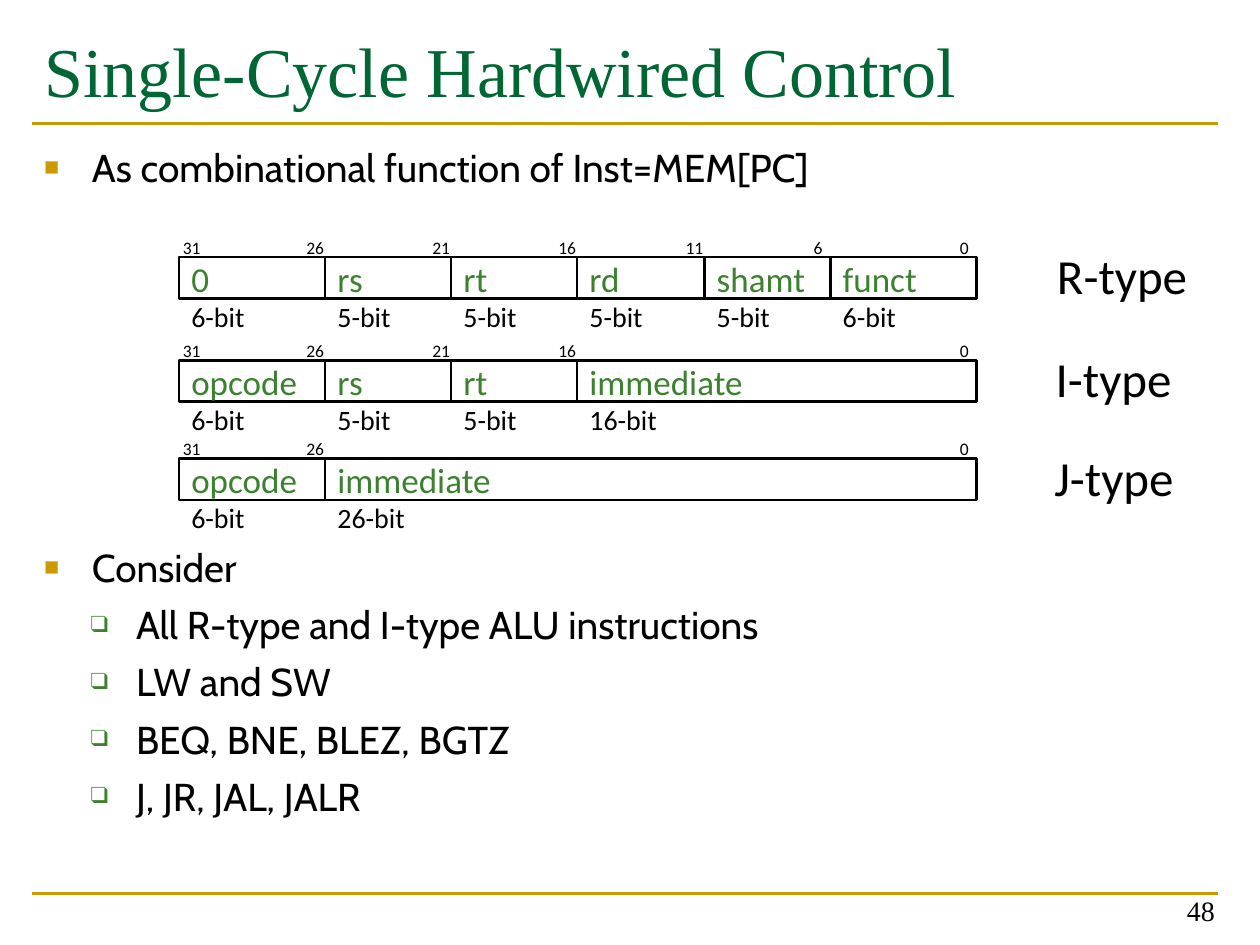
from dataclasses import dataclass

from lxml import etree
from pptx import Presentation
from pptx.dml.color import RGBColor
from pptx.enum.shapes import MSO_CONNECTOR, MSO_SHAPE
from pptx.enum.text import MSO_ANCHOR, MSO_AUTO_SIZE, PP_ALIGN
from pptx.oxml.ns import qn
from pptx.util import Inches, Pt

LEFT, RIGHT = PP_ALIGN.LEFT, PP_ALIGN.RIGHT
TOP, BOTTOM = MSO_ANCHOR.TOP, MSO_ANCHOR.BOTTOM
NO_FIT, GROW = MSO_AUTO_SIZE.NONE, MSO_AUTO_SIZE.SHAPE_TO_FIT_TEXT
RECTANGLE, STRAIGHT = MSO_SHAPE.RECTANGLE, MSO_CONNECTOR.STRAIGHT

BLACK = RGBColor(0x00, 0x00, 0x00)
WHITE = RGBColor(0xFF, 0xFF, 0xFF)
GOLD = RGBColor(0xCC, 0x99, 0x00)
TITLE_GREEN = RGBColor(0x00, 0x66, 0x33)
GREEN = RGBColor(0x3B, 0x81, 0x2F)
SERIF, SANS, BODY = "Times New Roman", "Calibri", "Cabin"

WORD_BITS = 32
FIELD_HEIGHT = 0.33
BIT_EDGES = {32: 1.42, 26: 2.58, 21: 3.58, 16: 4.58, 11: 5.59, 6: 6.59, 0: 7.75}


@dataclass
class Field:
    name: str
    bits: int


@dataclass
class Format:
    name: str
    top: float
    name_left: float
    name_width: float
    fields: list[Field]


@dataclass
class Bullet:
    text: str
    level: int = 0
    space_before: float = 6


@dataclass
class BulletStyle:
    symbol: str
    color: RGBColor
    percent: int
    margin: float
    hanging: float


FORMATS = [
    Format("R-type", 2.04, 8.29, 1.25, [
        Field("0", 6), Field("rs", 5), Field("rt", 5),
        Field("rd", 5), Field("shamt", 5), Field("funct", 6)]),
    Format("I-type", 2.86, 8.28, 1.14, [
        Field("opcode", 6), Field("rs", 5), Field("rt", 5), Field("immediate", 16)]),
    Format("J-type", 3.64, 8.27, 1.16, [Field("opcode", 6), Field("immediate", 26)]),
]

BULLETS = [
    Bullet("As combinational function of Inst=MEM[PC]", space_before=0),
    Bullet("Consider", space_before=202),
    Bullet("All R-type and I-type ALU instructions", 1),
    Bullet("LW and SW", 1),
    Bullet("BEQ, BNE, BLEZ, BGTZ", 1),
    Bullet("J, JR, JAL, JALR", 1),
]

BULLET_STYLES = [
    BulletStyle("■", GOLD, 65, 0.38, 0.38),
    BulletStyle("❑", GREEN, 60, 0.73, 0.36),
]


def place(shape, left: float, top: float, width: float, height: float) -> None:
    shape.left, shape.top = Inches(left), Inches(top)
    shape.width, shape.height = Inches(width), Inches(height)


def style(paragraph, size: float, name: str, color: RGBColor) -> None:
    for run in paragraph.runs:
        run.font.size = Pt(size)
        run.font.name = name
        run.font.color.rgb = color


def add_label(slide, text: str, left: float, top: float, width: float, height: float,
              size: float, name: str = SANS, alignment=LEFT):
    frame = slide.shapes.add_textbox(
        Inches(left), Inches(top), Inches(width), Inches(height)).text_frame
    frame.text = text
    frame.word_wrap = False
    frame.auto_size = GROW
    frame.paragraphs[0].alignment = alignment
    style(frame.paragraphs[0], size, name, BLACK)
    return frame


def add_rule(slide, y: float) -> None:
    rule = slide.shapes.add_connector(
        STRAIGHT, Inches(0.25), Inches(y), Inches(9.67), Inches(y))
    rule.line.color.rgb = GOLD
    rule.line.width = Pt(1.5)
    etree.SubElement(rule._element.spPr, qn("a:effectLst"))


def add_field(slide, field: Field, left: float, right: float, top: float) -> None:
    box = slide.shapes.add_shape(
        RECTANGLE, Inches(left), Inches(top), Inches(right - left), Inches(FIELD_HEIGHT))
    box.shadow.inherit = False
    box.fill.solid()
    box.fill.fore_color.rgb = WHITE
    box.line.color.rgb = BLACK
    box.line.width = Pt(1.5)
    frame = box.text_frame
    frame.text = f"{field.name}\n{field.bits}-bit"
    frame.word_wrap = False
    frame.vertical_anchor = TOP
    frame.margin_top = 0
    for paragraph, size, color in zip(frame.paragraphs, (20, 16), (GREEN, BLACK)):
        paragraph.alignment = LEFT
        style(paragraph, size, SANS, color)


def add_bit_number(slide, number: int, left: float, top: float) -> None:
    width = 0.34 if number > 9 else 0.27
    add_label(slide, str(number), left, top - 0.21, width, 0.27, 10,
              alignment=RIGHT if number > 9 else LEFT)


def add_format(slide, layout: Format) -> None:
    add_label(slide, layout.name, layout.name_left, layout.top - 0.14,
              layout.name_width, 0.57, 28)
    high = WORD_BITS
    for field in layout.fields:
        low = high - field.bits
        add_field(slide, field, BIT_EDGES[high], BIT_EDGES[low], layout.top)
        high = low
    add_bit_number(slide, WORD_BITS - 1, BIT_EDGES[WORD_BITS] - 0.07, layout.top)
    low = WORD_BITS
    for field in layout.fields:
        low -= field.bits
        add_bit_number(slide, low, BIT_EDGES[low] - (0.25 if low > 9 else 0.23), layout.top)


def set_bullet(paragraph, bullet: BulletStyle) -> None:
    properties = paragraph._p.get_or_add_pPr()
    properties.set("marL", str(Inches(bullet.margin)))
    properties.set("indent", str(-Inches(bullet.hanging)))
    color = etree.SubElement(properties, qn("a:buClr"))
    etree.SubElement(color, qn("a:srgbClr"), val=str(bullet.color))
    etree.SubElement(properties, qn("a:buSzPct"), val=str(bullet.percent * 1000))
    etree.SubElement(properties, qn("a:buFont"), typeface=SERIF)
    etree.SubElement(properties, qn("a:buChar"), char=bullet.symbol)


def fill_title(title) -> None:
    place(title, 0.25, 0.17, 9.42, 1.17)
    frame = title.text_frame
    frame.text = "Single-Cycle Hardwired Control"
    frame.auto_size = NO_FIT
    frame.vertical_anchor = TOP
    frame.paragraphs[0].alignment = LEFT
    style(frame.paragraphs[0], 40, SERIF, TITLE_GREEN)


def fill_body(body) -> None:
    place(body, 0.25, 1.09, 9.42, 5.68)
    frame = body.text_frame
    frame.text = "\n".join(bullet.text for bullet in BULLETS)
    frame.auto_size = NO_FIT
    for paragraph, bullet in zip(frame.paragraphs, BULLETS):
        paragraph.level = bullet.level
        set_bullet(paragraph, BULLET_STYLES[bullet.level])
        paragraph.space_before = Pt(bullet.space_before)
        style(paragraph, 22.2, BODY, BLACK)


def main() -> None:
    presentation = Presentation()
    presentation.slide_width, presentation.slide_height = Inches(10), Inches(7.5)
    slide = presentation.slides.add_slide(presentation.slide_layouts[1])
    fill_title(slide.shapes.title)
    fill_body(slide.placeholders[1])
    for y in (7.09, 0.98):
        add_rule(slide, y)
    number = add_label(slide, "48", 7.41, 6.91, 2.33, 0.5, 16, SERIF, RIGHT)
    number.word_wrap = True
    number.auto_size = NO_FIT
    number.vertical_anchor = BOTTOM
    for layout in FORMATS:
        add_format(slide, layout)
    presentation.save("out.pptx")


if __name__ == "__main__":
    main()
